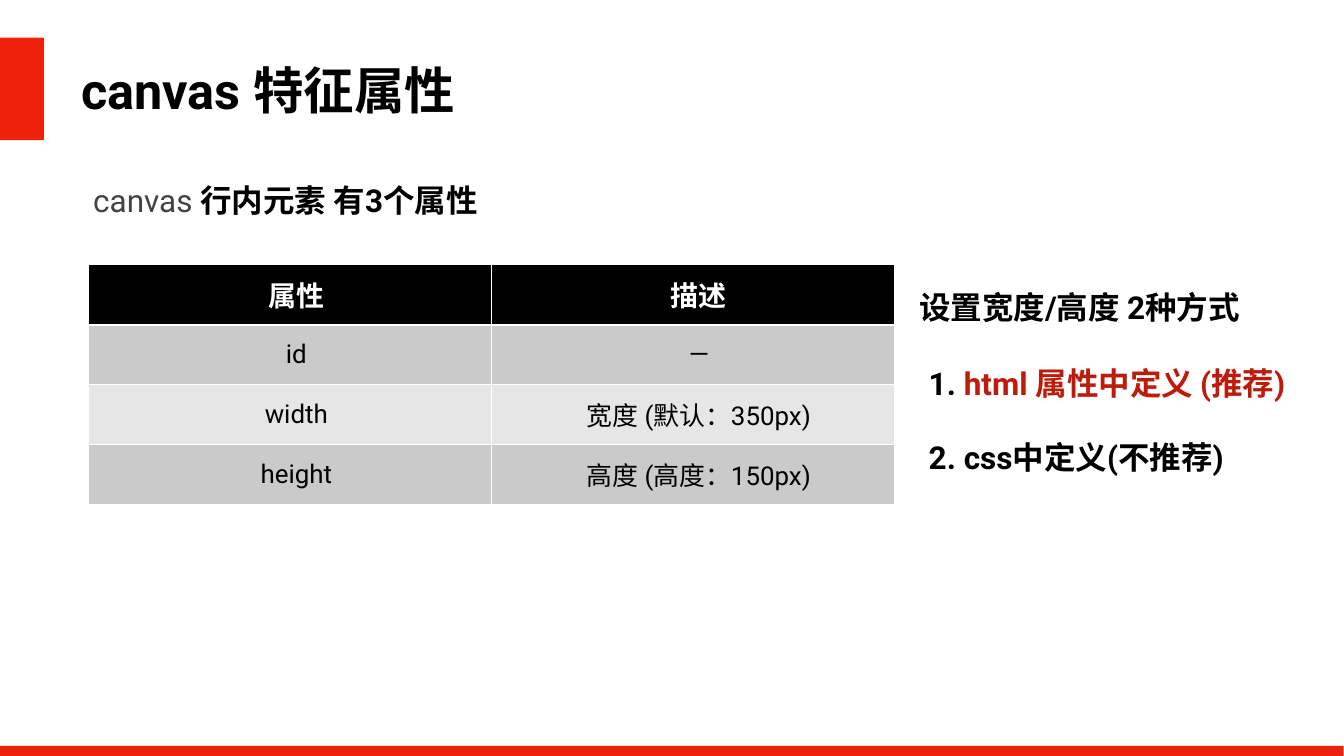
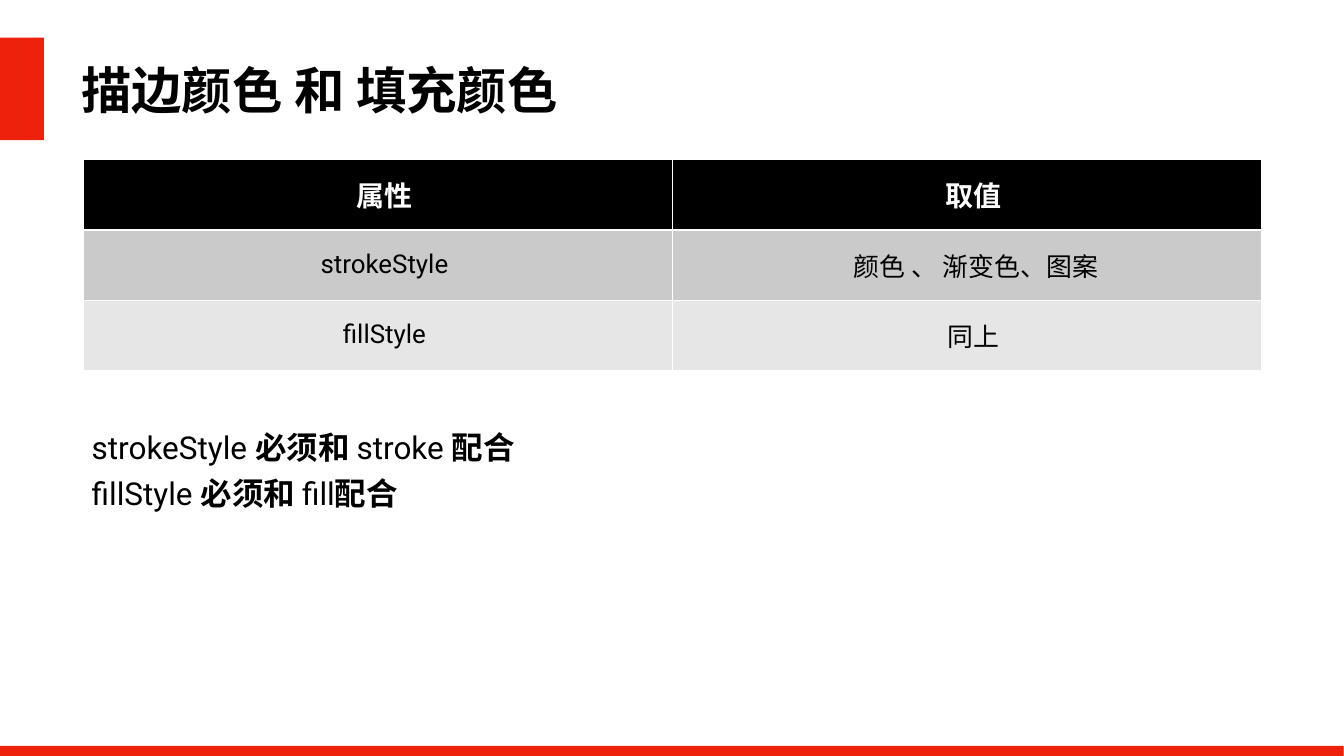
from lxml import etree
from pptx import Presentation
from pptx.dml.color import RGBColor
from pptx.enum.shapes import MSO_SHAPE as Shape
from pptx.enum.text import MSO_ANCHOR as Anchor, MSO_AUTO_SIZE as AutoSize, PP_ALIGN as Align
from pptx.oxml.ns import qn
from pptx.util import Cm, Pt

FONT = "Roboto"
RED = RGBColor(0xEE, 0x22, 0x0C)
DARK_RED = RGBColor(0xBE, 0x1B, 0x0A)
BLACK = RGBColor(0, 0, 0)
WHITE = RGBColor(0xFF, 0xFF, 0xFF)
DARK_GRAY = RGBColor(0x43, 0x43, 0x43)
ROW_FILLS = (RGBColor(0xCA, 0xCA, 0xCA), RGBColor(0xE6, 0xE6, 0xE6))

TITLE_SIZE, TEXT_SIZE, HEADER_SIZE, CELL_SIZE = Pt(72), Pt(45), Pt(40), Pt(37)
INSET = Cm(0.15)
CELL_INDENT = Cm(0.64)


class Deck:
    """Holds the shared style and the slide being filled."""

    def __init__(self):
        self.presentation = Presentation()
        self.presentation.slide_width = Cm(67.74)
        self.presentation.slide_height = Cm(38.1)
        self.slide = None

    def add_slide(self, title):
        layout = self.presentation.slide_layouts[1]
        self.slide = self.presentation.slides.add_slide(layout)
        shape = self.slide.shapes.title
        self.place(shape, 3.94, 2.59, 56.03, 3.81)
        shape.text_frame.text = title
        paragraph = shape.text_frame.paragraphs[0]
        paragraph.alignment = Align.LEFT
        self.style(paragraph, TITLE_SIZE, BLACK, True)
        self.band(-0.13, 1.9, 2.34, 5.16)
        self.band(0, 37.59, 67.72, 1.27)

    def style(self, paragraph, size, color, bold):
        font = paragraph.font
        font.name, font.size, font.bold = FONT, size, bold
        font.color.rgb = color

    def place(self, shape, left, top, width, height):
        shape.left, shape.top = Cm(left), Cm(top)
        shape.width, shape.height = Cm(width), Cm(height)
        frame = shape.text_frame
        frame.word_wrap = True
        frame.auto_size = AutoSize.NONE
        frame.vertical_anchor = Anchor.MIDDLE
        frame.margin_left = frame.margin_right = INSET
        frame.margin_top = frame.margin_bottom = INSET

    def band(self, left, top, width, height):
        shape = self.slide.shapes.add_shape(
            Shape.RECTANGLE, Cm(left), Cm(top), Cm(width), Cm(height))
        shape.shadow.inherit = False
        shape.fill.solid()
        shape.fill.fore_color.rgb = RED
        shape.line.fill.background()

    def add_lines(self, frame, lines, gap=0):
        """Each line is a list of (text, bold, colour) runs."""
        for index, line in enumerate(lines):
            paragraph = frame.add_paragraph() if index else frame.paragraphs[0]
            properties = paragraph._p.get_or_add_pPr()
            properties.set("marL", "0")
            properties.set("indent", "0")
            paragraph.line_spacing = 1.2
            paragraph.space_before = Pt(gap if index else 0)
            etree.SubElement(properties, qn("a:buNone"))
            self.style(paragraph, TEXT_SIZE, BLACK, False)
            for text, bold, color in line:
                run = paragraph.add_run()
                run.text = text
                run.font.bold = bold
                run.font.color.rgb = color

    def text(self, left, top, width, height, line):
        shape = self.slide.shapes.add_textbox(0, 0, 0, 0)
        self.place(shape, left, top, width, height)
        self.add_lines(shape.text_frame, [line])

    def body(self, left, top, width, height, lines, gap=0):
        shape = self.slide.placeholders[1]
        self.place(shape, left, top, width, height)
        self.add_lines(shape.text_frame, lines, gap)

    def table(self, left, top, column_width, row_height, rows):
        columns = len(rows[0])
        table = self.slide.shapes.add_table(
            len(rows), columns, Cm(left), Cm(top),
            Cm(column_width * columns), Cm(row_height * len(rows))).table
        table.horz_banding = False
        for row_index, row in enumerate(rows):
            for column_index, text in enumerate(row):
                self.cell(table.cell(row_index, column_index), text, row_index)

    def cell(self, cell, text, row_index):
        header = row_index == 0
        cell.margin_left = cell.margin_right = cell.margin_top = cell.margin_bottom = 0
        cell.vertical_anchor = Anchor.MIDDLE
        cell.text = text
        paragraph = cell.text_frame.paragraphs[0]
        paragraph.alignment = Align.CENTER
        paragraph._p.get_or_add_pPr().set("indent", str(CELL_INDENT))
        if header:
            self.style(paragraph, HEADER_SIZE, WHITE, True)
        else:
            self.style(paragraph, CELL_SIZE, BLACK, False)
        # Borders come before the fill in the cell properties
        for side in "LRTB":
            width = Pt(3 if header and side == "B" else 1)
            line = etree.SubElement(
                cell._tc.get_or_add_tcPr(), qn(f"a:ln{side}"), w=str(width))
            fill = etree.SubElement(line, qn("a:solidFill"))
            etree.SubElement(fill, qn("a:srgbClr"), val=str(WHITE))
        cell.fill.solid()
        cell.fill.fore_color.rgb = BLACK if header else ROW_FILLS[(row_index - 1) % 2]


def add_canvas_attributes(deck):
    deck.add_slide("canvas 特征属性")
    deck.text(4.55, 8.61, 60.17, 2.51, [
        ("canvas ", False, DARK_GRAY), ("行内元素 有3个属性", True, BLACK)])
    deck.table(4.47, 13.34, 20.29, 3.02, [
        ("属性", "描述"),
        ("id", "—"),
        ("width", "宽度 (默认：350px)"),
        ("height", "高度 (高度：150px)"),
    ])
    # Two ways to set the size
    deck.text(46.18, 14, 22.81, 2.51, [("设置宽度/高度 2种方式", True, BLACK)])
    deck.body(46.66, 17.81, 22.81, 6.3, [
        [("1. ", True, BLACK), ("html 属性中定义 (推荐)", True, DARK_RED)],
        [("2. css中定义(不推荐)", True, BLACK)],
    ], gap=41)


def add_stroke_and_fill(deck):
    deck.add_slide("描边颜色 和 填充颜色")
    deck.table(4.22, 8.05, 29.67, 3.53, [
        ("属性", "取值"),
        ("strokeStyle", " 颜色 、 渐变色、图案"),
        ("fillStyle", "同上"),
    ])
    # Which method each attribute works with
    deck.body(4.47, 20.88, 60.17, 5.21, [
        [("strokeStyle", False, BLACK), (" 必须和", True, BLACK),
         (" stroke ", False, BLACK), ("配合", True, BLACK)],
        [("fillStyle ", False, BLACK), ("必须和", True, BLACK),
         (" fill", False, BLACK), ("配合", True, BLACK)],
    ])


def main():
    deck = Deck()
    add_canvas_attributes(deck)
    add_stroke_and_fill(deck)
    deck.presentation.save("out.pptx")


if __name__ == "__main__":
    main()
